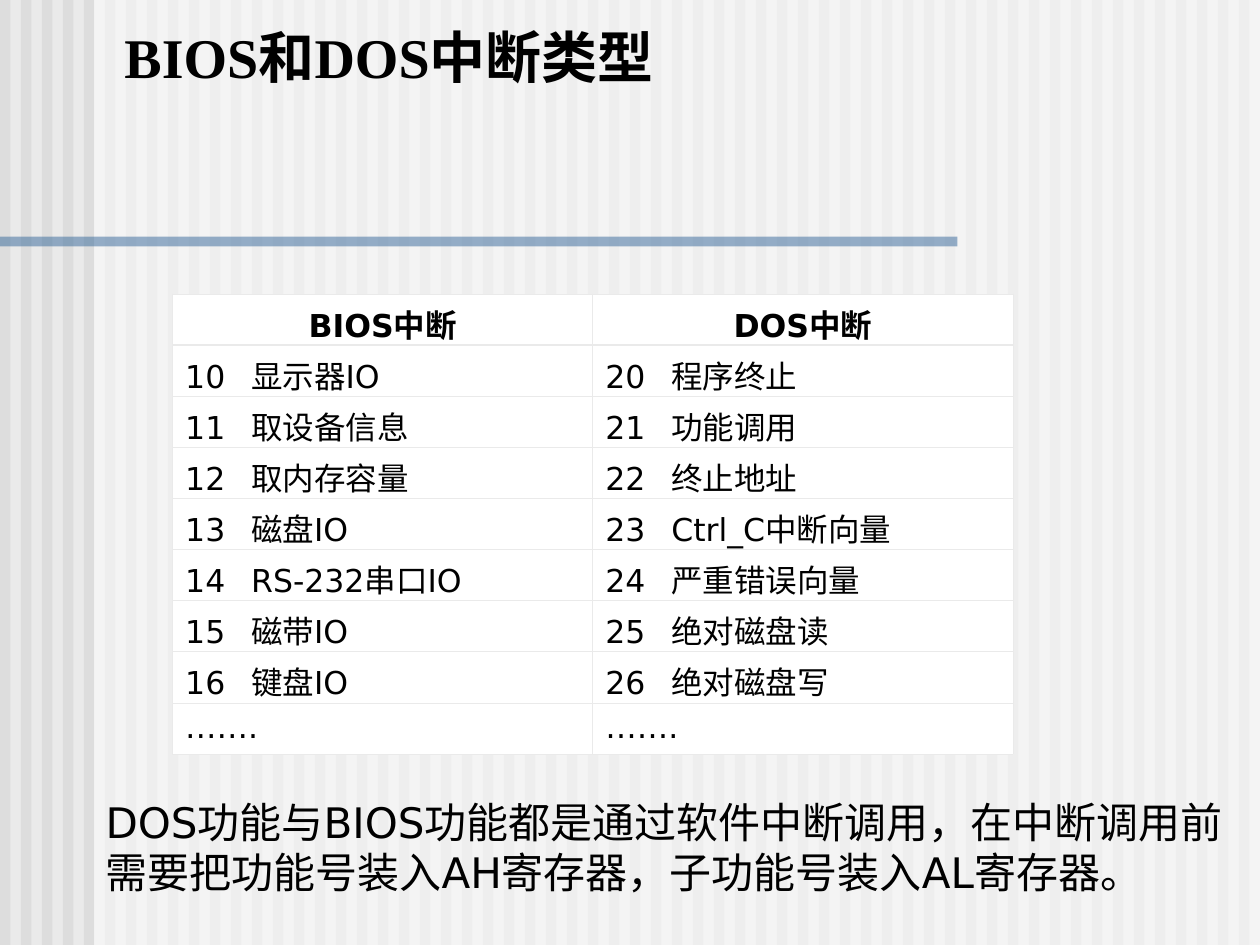
from dataclasses import dataclass

from lxml import etree
from pptx import Presentation
from pptx import util as u
from pptx.dml.color import RGBColor
from pptx.enum import lang, shapes, text
from pptx.oxml import ns

Cm = u.Cm


@dataclass(frozen=True)
class Theme:
    background: str = "EAEAEA"
    stripe: str = "DDDDDD"
    white: str = "FFFFFF"
    rule: str = "336699"
    ink: str = "000000"
    border: str = "EAEAEA"
    title_font: str = "Times New Roman"
    body_font: str = "DejaVu Sans"
    title_size: int = 32
    note_size: int = 24
    table_size: int = 18
    thin: float = 0.45
    thick: float = 1.47


THEME = Theme()
WIDTH, HEIGHT = 25.4, 19.05
STRIPES = 60
HEADERS = ("BIOS中断", "DOS中断")
BIOS = ("显示器IO", "取设备信息", "取内存容量", "磁盘IO",
        "RS-232串口IO", "磁带IO", "键盘IO")
DOS = ("程序终止", "功能调用", "终止地址", "Ctrl_C中断向量",
       "严重错误向量", "绝对磁盘读", "绝对磁盘写")
MORE = "……."
NOTE = ("DOS功能与BIOS功能都是通过软件中断调用，在中断调用前",
        "需要把功能号装入AH寄存器，子功能号装入AL寄存器。")


def write(paragraph, content, size, font=THEME.body_font, bold=False,
          align=text.PP_ALIGN.LEFT, tab=None):
    paragraph.alignment = align
    if tab is not None:
        tabs = etree.SubElement(paragraph._p.get_or_add_pPr(), ns.qn("a:tabLst"))
        etree.SubElement(tabs, ns.qn("a:tab"), pos=str(tab), algn="l")
    run = paragraph.add_run()
    run.text = content
    run.font.size = u.Pt(size)
    run.font.name = font
    run.font.bold = bold
    run.font.language_id = lang.MSO_LANGUAGE_ID.SIMPLIFIED_CHINESE
    run.font.color.rgb = RGBColor.from_string(THEME.ink)


def add_bar(parent, left, top, width, height, color, opacity=100):
    bar = parent.shapes.add_shape(shapes.MSO_SHAPE.RECTANGLE, Cm(left), Cm(top),
                                  Cm(width), Cm(height))
    bar.shadow.inherit = False
    bar.line.fill.background()
    bar.fill.solid()
    bar.fill.fore_color.rgb = RGBColor.from_string(color)
    if opacity < 100:
        rgb = bar._element.spPr.find(".//" + ns.qn("a:srgbClr"))
        etree.SubElement(rgb, ns.qn("a:alpha"), val=str(opacity * 1000))


def add_backdrop(slide):
    slide.background.fill.solid()
    slide.background.fill.fore_color.rgb = RGBColor.from_string(THEME.background)
    backdrop = slide.shapes.add_group_shape()
    pitch = WIDTH / STRIPES
    for i in range(STRIPES):
        add_bar(backdrop, i * pitch, 0, pitch / 2, HEIGHT, THEME.stripe)
    add_bar(backdrop, 1.9, 0, WIDTH - 1.9, HEIGHT, THEME.white, 50)
    add_bar(backdrop, 0, 4.77, 19.3, 0.2, THEME.rule, 50)


def add_text(slide, left, top, width, height, lines, **style):
    box = slide.shapes.add_textbox(Cm(left), Cm(top), Cm(width), Cm(height))
    frame = box.text_frame
    frame.word_wrap = True
    for i, line in enumerate(lines):
        write(frame.add_paragraph() if i else frame.paragraphs[0], line, **style)


def set_borders(cell, top, bottom):
    properties = cell._tc.get_or_add_tcPr()
    sides = {"L": THEME.thin, "R": THEME.thin, "T": top, "B": bottom}
    for i, (side, width) in enumerate(sides.items()):
        line = etree.Element(ns.qn(f"a:ln{side}"), w=str(u.Pt(width)))
        fill = etree.SubElement(line, ns.qn("a:solidFill"))
        etree.SubElement(fill, ns.qn("a:srgbClr"), val=THEME.border)
        properties.insert(i, line)


def add_interrupt_table(slide):
    entries = [(f"{10 + i}\t{bios}", f"{20 + i}\t{dos}")
               for i, (bios, dos) in enumerate(zip(BIOS, DOS))]
    rows = [HEADERS, *entries, (MORE, MORE)]
    table = slide.shapes.add_table(len(rows), len(HEADERS), Cm(3.48), Cm(5.93),
                                   Cm(16.94), Cm(9.27)).table
    table.first_row = table.horz_banding = False
    for r, row in enumerate(rows):
        for c, content in enumerate(row):
            cell = table.cell(r, c)
            cell.fill.solid()
            cell.fill.fore_color.rgb = RGBColor.from_string(THEME.white)
            set_borders(cell, THEME.thick if r == 1 else THEME.thin,
                        THEME.thick if r == 0 else THEME.thin)
            align = text.PP_ALIGN.CENTER if r == 0 else text.PP_ALIGN.LEFT
            write(cell.text_frame.paragraphs[0], content, THEME.table_size,
                  bold=r == 0, align=align, tab=Cm(1.33) if "\t" in content else None)


def main():
    deck = Presentation()
    deck.slide_width, deck.slide_height = Cm(WIDTH), Cm(HEIGHT)
    slide = deck.slides.add_slide(deck.slide_layouts[6])
    add_backdrop(slide)
    add_text(slide, 2.26, 0.33, 20.65, 3.68, ["BIOS和DOS中断类型"],
             size=THEME.title_size, font=THEME.title_font, bold=True)
    add_interrupt_table(slide)
    add_text(slide, 1.88, 15.93, 23.44, 2.29, NOTE, size=THEME.note_size)
    deck.save("out.pptx")


if __name__ == "__main__":
    main()
